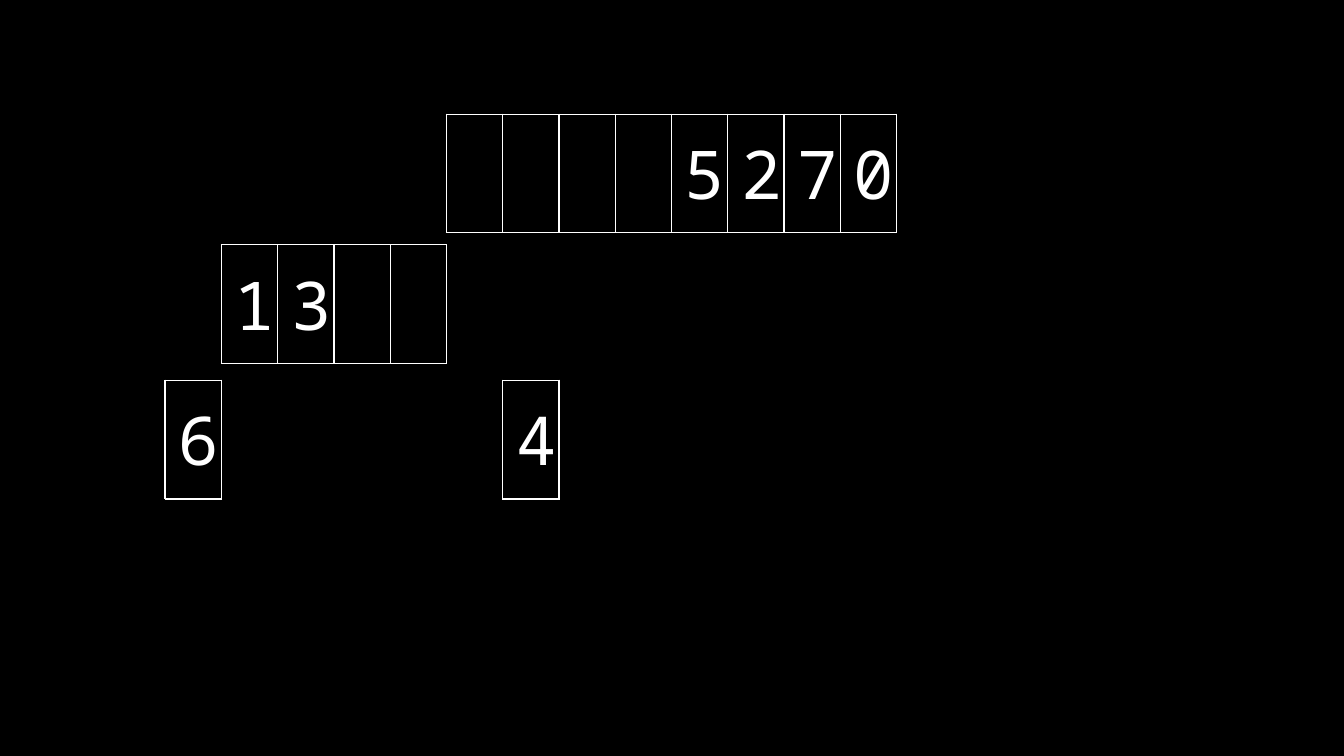
import pptx
import pptx.util
import pptx.dml.color
import pptx.enum.text
import pptx.oxml
import pptx.oxml.ns
import lxml.etree

Inches = pptx.util.Inches
qn = pptx.oxml.ns.qn
WHITE = "FFFFFF"
STEP = 3.35 / 8


def color(text):
    return pptx.dml.color.RGBColor.from_string(text)


def border(cell, sides):
    props = cell._tc.get_or_add_tcPr()
    for side in "LRTB":
        line = lxml.etree.SubElement(props, qn(f"a:ln{side}"), w=str(pptx.util.Pt(0.75)))
        if side in sides:
            fill = lxml.etree.SubElement(line, qn("a:solidFill"))
            lxml.etree.SubElement(fill, qn("a:srgbClr"), val=WHITE)
        else:
            lxml.etree.SubElement(line, qn("a:noFill"))


deck = pptx.Presentation()
deck.slide_width = Inches(10)
deck.slide_height = Inches(10 * 9 / 16)
slide = deck.slides.add_slide(deck.slide_layouts[6])
slide.background.fill.solid()
slide.background.fill.fore_color.rgb = color("000000")

grids = [
    (6, 0.85, ["", "", "", "", "5", "2", "7", "0"], False),
    (2, 1.82, ["1", "3", "", ""], False),
    (0, 2.83, ["", "6"], True),
    (6, 2.83, ["", "4"], True),
]

for start, top, digits, lead in grids:
    count = len(digits)
    frame = slide.shapes.add_table(
        1, count, Inches(0.81 + start * STEP), Inches(top), Inches(count * STEP), Inches(0.8)
    )
    table = frame.table
    table.first_row = False
    table.horz_banding = False
    table.rows[0].height = Inches(0.32)
    frame.height = Inches(0.8)
    for col, digit in enumerate(digits):
        table.columns[col].width = Inches(STEP)
        cell = table.cell(0, col)
        border(cell, "R" if lead and col == 0 else "LRTB")
        cell.fill.background()
        cell.margin_left = cell.margin_right = Inches(0.1)
        cell.margin_top = cell.margin_bottom = Inches(0.1)
        cell.vertical_anchor = pptx.enum.text.MSO_ANCHOR.MIDDLE
        if digit:
            cell.text_frame.text = digit
            para = cell.text_frame.paragraphs[0]
            para.alignment = pptx.enum.text.PP_ALIGN.CENTER
            font = para.runs[0].font
            font.name = "Noto Sans Mono"
            font.size = pptx.util.Pt(36)
            font.color.rgb = color(WHITE)

deck.save("out.pptx")
